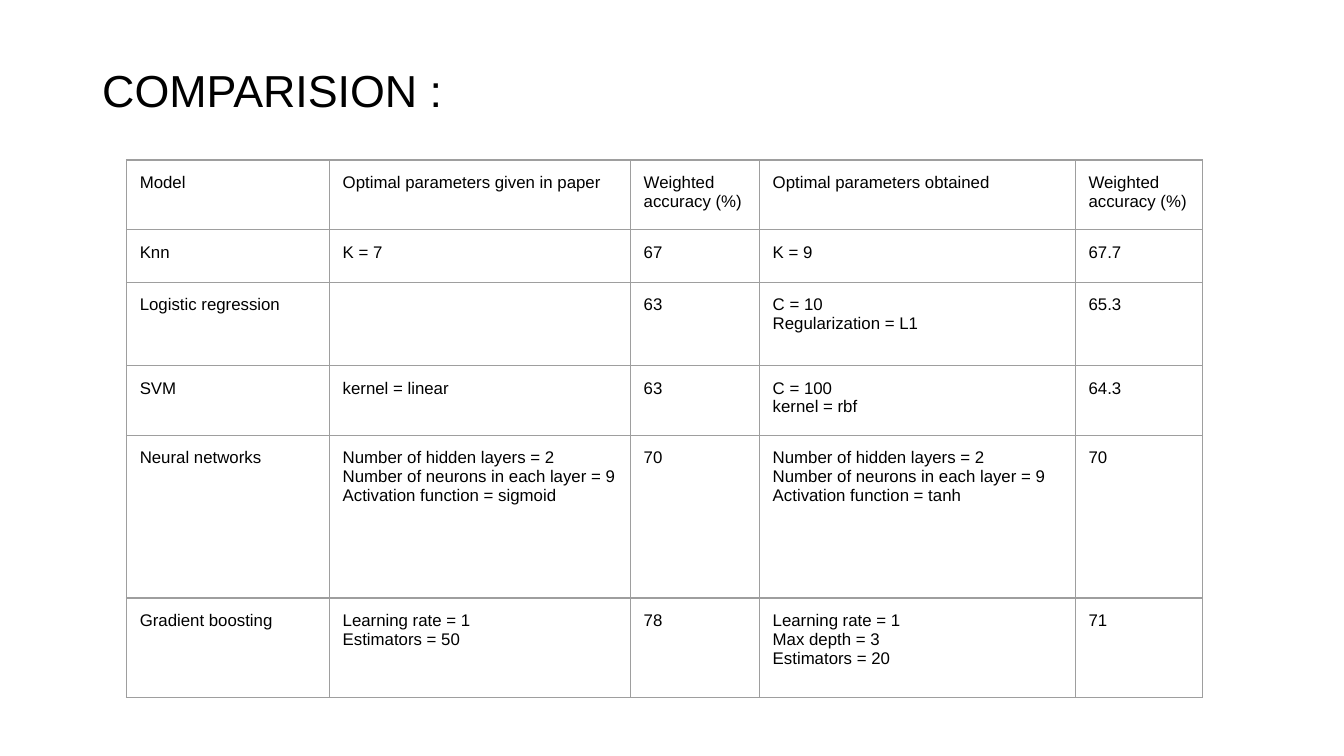
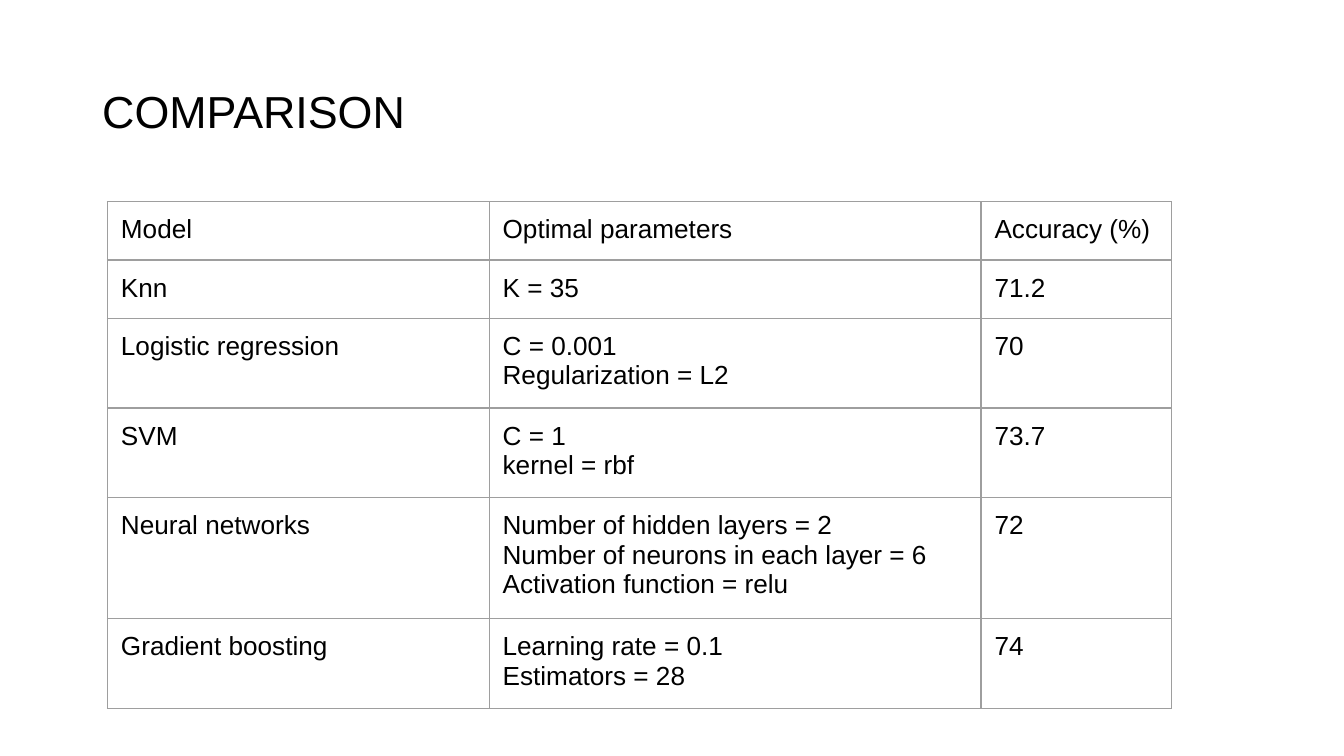
from dataclasses import dataclass

from lxml.etree import SubElement
from pptx import Presentation
from pptx.dml.color import RGBColor
from pptx.enum.text import MSO_ANCHOR
from pptx.oxml.ns import qn
from pptx.slide import Slide
from pptx.table import _Cell
from pptx.text.text import TextFrame
from pptx.util import Inches, Pt

BLACK = RGBColor(0x00, 0x00, 0x00)
WHITE = RGBColor(0xFF, 0xFF, 0xFF)
GREY = RGBColor(0x9E, 0x9E, 0x9E)
FONT = "Arial"
TITLE_SIZE = 24
BORDER_WIDTH = Pt(0.75)
SLIDE_WIDTH = Inches(10)
SLIDE_HEIGHT = SLIDE_WIDTH * 9 // 16
FRAME_SIDE = Inches(3.28)


@dataclass(frozen=True)
class ComparisonPage:
    """One slide: a title and a table; lengths in inches, sizes in points."""

    title: str
    title_height: float
    left: float
    top: float
    text_size: int
    column_widths: list[float]
    row_heights: list[float]
    rows: list[list[str]]


PAGES = [
    ComparisonPage(
        title="COMPARISION :",
        title_height=0.79,
        left=0.94,
        top=1.19,
        text_size=9,
        column_widths=[1.51, 2.24, 0.96, 2.35, 0.95],
        row_heights=[0.52, 0.39, 0.62, 0.52, 1.21, 0.74],
        rows=[
            ["Model", "Optimal parameters given in paper", "Weighted accuracy (%)",
             "Optimal parameters obtained", "Weighted accuracy (%)"],
            ["Knn", "K = 7", "67", "K = 9", "67.7"],
            ["Logistic regression", "", "63", "C = 10\nRegularization = L1", "65.3"],
            ["SVM", "kernel = linear", "63", "C = 100\nkernel = rbf", "64.3"],
            ["Neural networks",
             "Number of hidden layers = 2\nNumber of neurons in each layer = 9\n"
             "Activation function = sigmoid",
             "70",
             "Number of hidden layers = 2\nNumber of neurons in each layer = 9\n"
             "Activation function = tanh",
             "70"],
            ["Gradient boosting", "Learning rate = 1\nEstimators = 50", "78",
             "Learning rate = 1\nMax depth = 3\nEstimators = 20", "71"],
        ],
    ),
    ComparisonPage(
        title="COMPARISON",
        title_height=1.09,
        left=0.8,
        top=1.5,
        text_size=14,
        column_widths=[2.84, 3.66, 1.42],
        row_heights=[0.42, 0.42, 0.64, 0.64, 0.86, 0.64],
        rows=[
            ["Model", "Optimal parameters", "Accuracy (%)"],
            ["Knn", "K = 35", "71.2"],
            ["Logistic regression", "C = 0.001\nRegularization = L2", "70"],
            ["SVM", "C = 1\nkernel = rbf", "73.7"],
            ["Neural networks",
             "Number of hidden layers = 2\nNumber of neurons in each layer = 6\n"
             "Activation function = relu",
             "72"],
            ["Gradient boosting", "Learning rate = 0.1\nEstimators = 28", "74"],
        ],
    ),
]


def write_text(frame: TextFrame, text: str, size: int) -> None:
    """Fill the frame with one paragraph per line of text."""
    frame.text = text
    for paragraph in frame.paragraphs:
        font = paragraph.font
        font.name = FONT
        font.size = Pt(size)
        font.bold = False
        font.color.rgb = BLACK


def add_title(page: Slide, text: str, height: float) -> None:
    box = page.shapes.add_textbox(Inches(0.69), Inches(0.3), Inches(8.62), Inches(height))
    frame = box.text_frame
    frame.word_wrap = True
    frame.vertical_anchor = MSO_ANCHOR.MIDDLE
    frame.margin_left = frame.margin_right = Inches(0.07)
    frame.margin_top = frame.margin_bottom = Inches(0.04)
    write_text(frame, text, TITLE_SIZE)
    frame.paragraphs[0].line_spacing = 0.9


def set_borders(cell: _Cell) -> None:
    properties = cell._tc.get_or_add_tcPr()
    for position, side in enumerate(("a:lnL", "a:lnR", "a:lnT", "a:lnB")):
        line = SubElement(properties, qn(side), w=str(BORDER_WIDTH))
        fill = SubElement(line, qn("a:solidFill"))
        SubElement(fill, qn("a:srgbClr"), val=str(GREY))
        properties.insert(position, line)


def add_comparison_table(page: Slide, content: ComparisonPage) -> None:
    holder = page.shapes.add_table(
        len(content.rows), len(content.column_widths),
        Inches(content.left), Inches(content.top), FRAME_SIDE, FRAME_SIDE,
    )
    table = holder.table
    table.first_row = False
    table.horz_banding = False
    for column, width in zip(table.columns, content.column_widths):
        column.width = Inches(width)
    for row, height, texts in zip(table.rows, content.row_heights, content.rows):
        row.height = Inches(height)
        for cell, text in zip(row.cells, texts):
            cell.margin_left = cell.margin_right = Inches(0.1)
            cell.margin_top = cell.margin_bottom = Inches(0.1)
            cell.fill.background()
            set_borders(cell)
            write_text(cell.text_frame, text, content.text_size)
    # Row and column changes resize the frame, so its size is set last.
    holder.width = holder.height = FRAME_SIDE


def main() -> None:
    deck = Presentation()
    deck.slide_width = SLIDE_WIDTH
    deck.slide_height = SLIDE_HEIGHT
    for content in PAGES:
        page = deck.slides.add_slide(deck.slide_layouts[6])
        page.background.fill.solid()
        page.background.fill.fore_color.rgb = WHITE
        add_title(page, content.title, content.title_height)
        add_comparison_table(page, content)
    deck.save("out.pptx")


if __name__ == "__main__":
    main()
